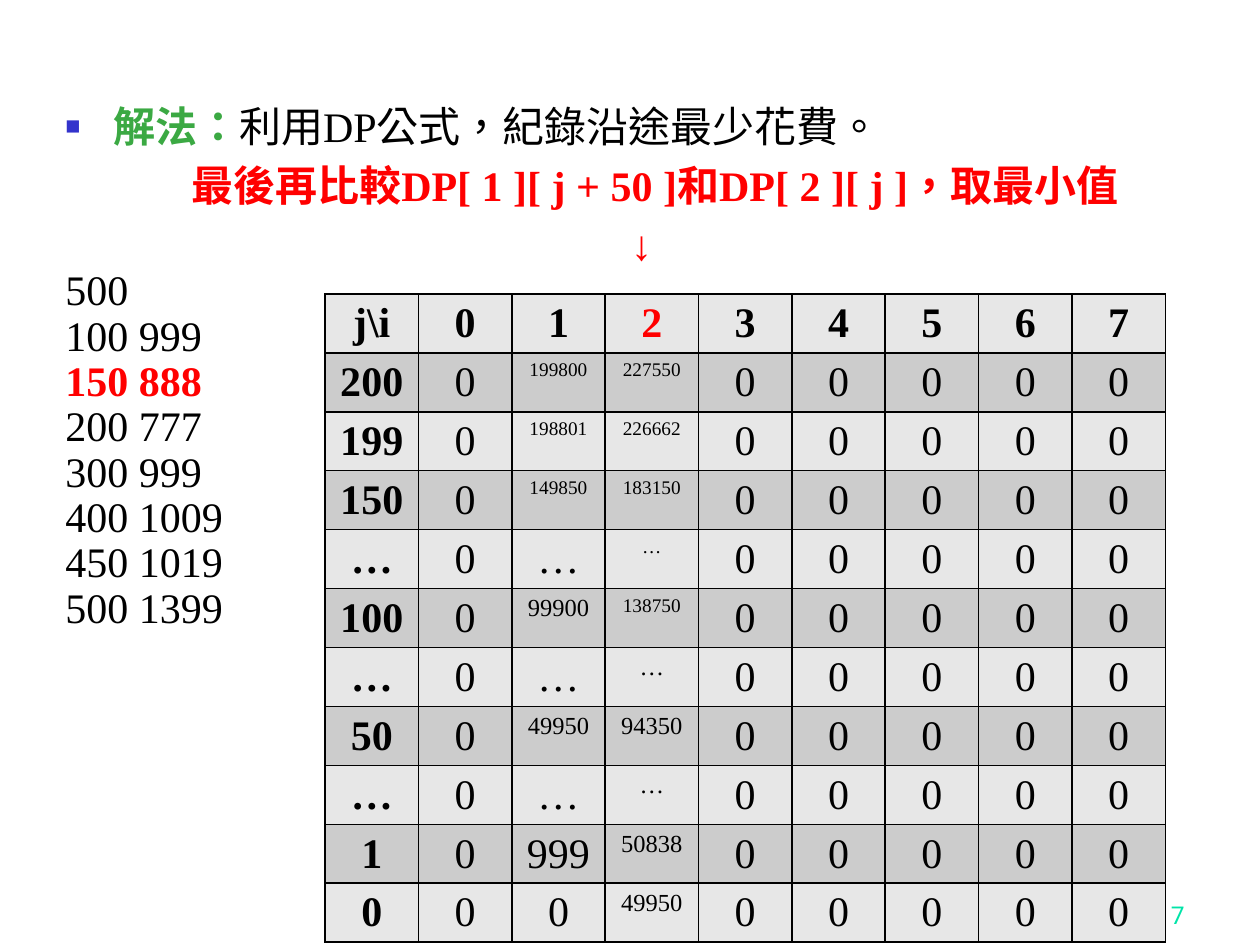
from lxml.etree import SubElement
from pptx import Presentation
from pptx.dml.color import RGBColor
from pptx.enum.lang import MSO_LANGUAGE_ID as Language
from pptx.enum.text import MSO_ANCHOR as Anchor, PP_ALIGN as Align
from pptx.oxml.ns import qn
from pptx.util import Inches, Pt

WIDTH, HEIGHT = 10, 7.5
COLORS = {"ink": "000000", "red": "FF0000", "green": "3BA943", "bullet": "3333CC",
          "page": "00E4A8", "light": "E7E7E7", "dark": "CCCCCC"}
SERIF = "Times New Roman"

# Budget j, then value and text size for items 1 and 2
DP_ROWS = [
    ("200", ("199800", 11), ("227550", 11)),
    ("199", ("198801", 11), ("226662", 11)),
    ("150", ("149850", 11), ("183150", 11)),
    ("…", ("…", 24), ("…", 11)),
    ("100", ("99900", 14), ("138750", 11)),
    ("…", ("…", 24), ("…", 14)),
    ("50", ("49950", 14), ("94350", 14)),
    ("…", ("…", 24), ("…", 14)),
    ("1", ("999", 24), ("50838", 14)),
    ("0", ("0", 24), ("49950", 14)),
]
ITEMS = ["500", "100 999", "150 888", "200 777", "300 999",
         "400 1009", "450 1019", "500 1399"]
CURRENT_ITEM = "150 888"


def add_span(para, text, size=24, color="ink", bold=False, font=SERIF):
    span = para.add_run()
    span.text = text
    span.font.size, span.font.bold, span.font.name = Pt(size), bold, font
    span.font.color.rgb = RGBColor.from_string(COLORS[color])
    span.font.language_id = Language.TRADITIONAL_CHINESE


class SlideBuilder:
    """Holds the current slide and draws each kind of element on it."""

    def __init__(self, page):
        self.page = page

    def place(self, left, top, width, height):
        """Turn shares of the slide into lengths."""
        return (Inches(left * WIDTH), Inches(top * HEIGHT),
                Inches(width * WIDTH), Inches(height * HEIGHT))

    def text_box(self, area, anchor=Anchor.TOP):
        frame = self.page.shapes.add_textbox(*self.place(*area)).text_frame
        frame.word_wrap = True
        frame.vertical_anchor = anchor
        return frame

    def paragraph(self, frame, spans, first=False, before=0, spacing=None,
                  indent=0, margin=0, bullet=None, align=Align.LEFT):
        para = frame.paragraphs[0] if first else frame.add_paragraph()
        props = para._p.get_or_add_pPr()
        props.set("marL", str(Inches(margin)))
        props.set("indent", str(Inches(indent)))
        para.alignment = align
        if not first:
            para.space_before = Pt(before)
        if spacing:
            para.line_spacing = spacing
        if bullet:
            color = SubElement(props, qn("a:buClr"))
            SubElement(color, qn("a:srgbClr"), val=COLORS["bullet"])
            SubElement(props, qn("a:buSzPct"), val="60000")
            SubElement(props, qn("a:buFont"), typeface=SERIF)
            SubElement(props, qn("a:buChar"), char=bullet)
        for text, style in spans:
            add_span(para, text, **style)

    def table(self, area, rows):
        """Draw rows of (text, style) cells with alternating fills."""
        grid = self.page.shapes.add_table(len(rows), len(rows[0]), *self.place(*area)).table
        for r, row in enumerate(rows):
            for c, (text, style) in enumerate(row):
                cell = grid.cell(r, c)
                cell.margin_top, cell.margin_bottom = Pt(3.6), Pt(1.25)
                cell.margin_left = cell.margin_right = Pt(6)
                cell.fill.solid()
                cell.fill.fore_color.rgb = RGBColor.from_string(
                    COLORS["dark" if r % 2 else "light"])
                self.borders(cell)
                para = cell.text_frame.paragraphs[0]
                para.alignment = Align.CENTER
                add_span(para, text, **style)

    def borders(self, cell):
        props = cell._tc.get_or_add_tcPr()
        for index, side in enumerate(("a:lnL", "a:lnR", "a:lnT", "a:lnB")):
            line = props.makeelement(qn(side), {"w": str(Pt(1))})
            props.insert(index, line)
            fill = SubElement(line, qn("a:solidFill"))
            SubElement(fill, qn("a:srgbClr"), val=COLORS["ink"])


def dp_cells():
    header = [(text, {"bold": True, "color": "red" if text == "2" else "ink"})
              for text in ["j\\i", *map(str, range(8))]]
    body = [[(budget, {"bold": True}), ("0", {}),
             *((text, {"size": size}) for text, size in values), *[("0", {})] * 5]
            for budget, *values in DP_ROWS]
    return [header, *body]


def main():
    deck = Presentation()
    deck.slide_width, deck.slide_height = Inches(WIDTH), Inches(HEIGHT)
    builder = SlideBuilder(deck.slides.add_slide(deck.slide_layouts[6]))

    # Page number
    number = builder.text_box((0.742, 0.923, 0.208, 0.067), Anchor.BOTTOM)
    builder.paragraph(number, [("17", {"size": 14, "color": "page", "font": "Roboto"})],
                      first=True, align=Align.RIGHT)

    # Explanation
    body = builder.text_box((0.042, 0.1, 0.883, 0.82))
    builder.paragraph(body, [("解法：", {"color": "green", "bold": True}),
                             ("利用DP公式，紀錄沿途最少花費。", {})],
                      first=True, margin=0.38, indent=-0.38, bullet="■")
    builder.paragraph(body, [("最後再比較DP[ 1 ][ j + 50 ]和DP[ 2 ][ j ]，取最小值",
                              {"color": "red", "bold": True})], before=5, indent=1)
    builder.paragraph(body, [("↓", {"color": "red", "bold": True})], before=5, indent=4.49)

    # Budget and items
    for item in ITEMS:
        current = item == CURRENT_ITEM
        style = {"color": "red" if current else "ink", "bold": current}
        builder.paragraph(body, [(item, style)], spacing=0.9)

    # Cost table
    builder.table((0.258, 0.311, 0.667, 0.595), dp_cells())

    deck.save("out.pptx")


if __name__ == "__main__":
    main()
